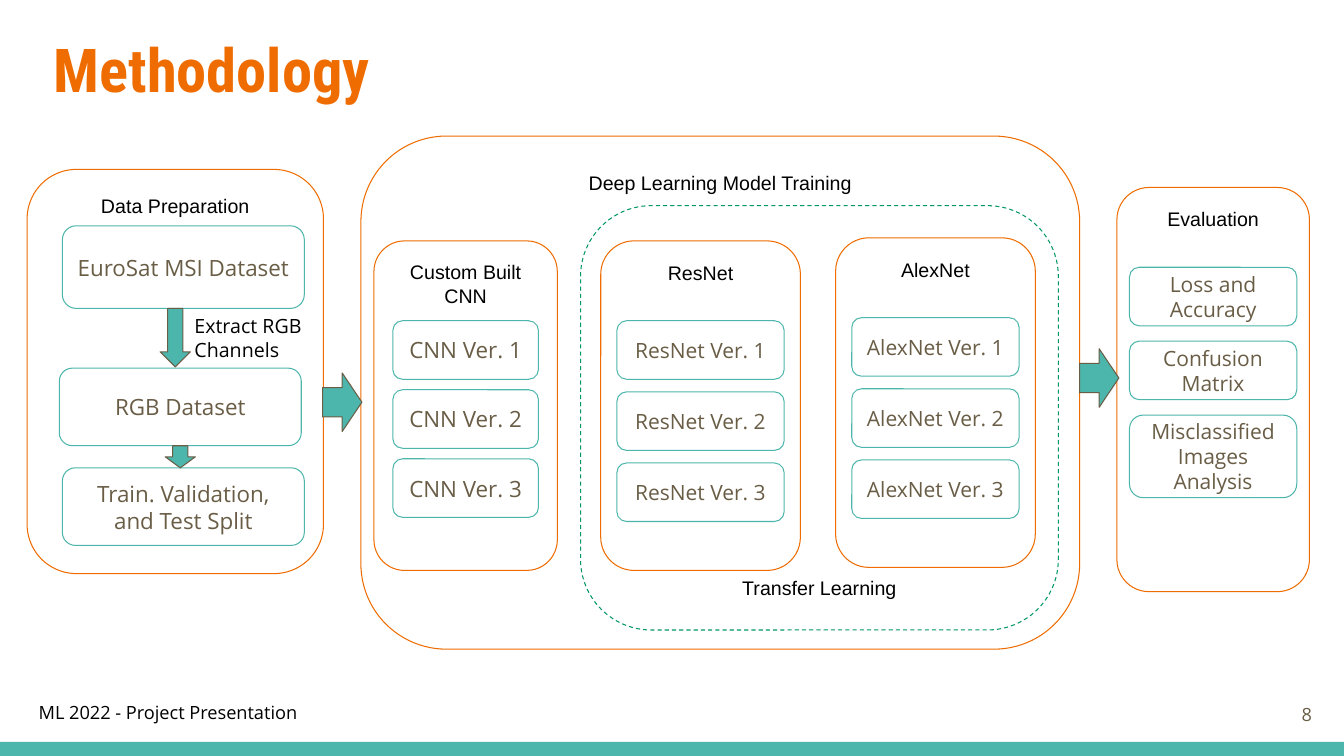
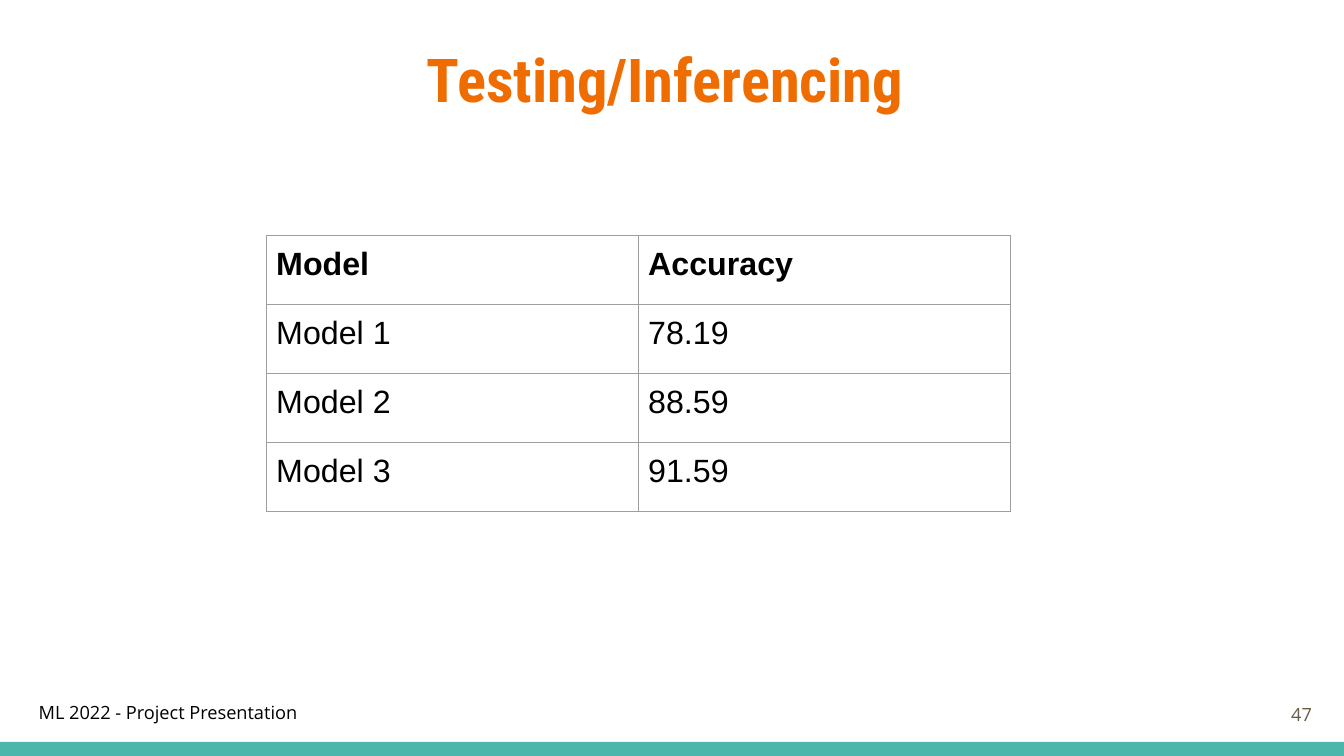
from collections import namedtuple

from lxml.etree import SubElement
from pptx import Presentation
from pptx.dml.color import RGBColor
from pptx.enum.dml import MSO_LINE
from pptx.enum.shapes import MSO_SHAPE
from pptx.enum.text import MSO_ANCHOR, PP_ALIGN
from pptx.oxml.ns import qn
from pptx.util import Pt

ORANGE = RGBColor(0xEF, 0x6C, 0x00)
TEAL = RGBColor(0x4D, 0xB6, 0xAC)
GREEN = RGBColor(0x00, 0x96, 0x68)
BROWN = RGBColor(0x69, 0x5D, 0x46)
GREY = RGBColor(0x9E, 0x9E, 0x9E)
BLACK = RGBColor(0x00, 0x00, 0x00)

HEADING_FONT = "Roboto Condensed"
BODY_FONT = "Open Sans"
LABEL_FONT = "Arial"

SLIDE_WIDTH, SLIDE_HEIGHT = 960, 540
BAND_HEIGHT = 10
LINE_WIDTH = 0.75
INSET, WIDE_INSET = 7.2, 9.6
STEP_HEIGHT = 41.8
STEPS_TOP = 57

Box = namedtuple("Box", "left top width height")


def inside(parent, left, top, width, height):
    """Return a box whose offsets are measured from the corner of parent."""
    return Box(parent.left + left, parent.top + top, width, height)


def in_points(box):
    return [Pt(length) for length in box]


def write(frame, text, size, font, color, bold=False,
          align=PP_ALIGN.LEFT, anchor=MSO_ANCHOR.TOP, inset=INSET):
    frame.word_wrap = True
    frame.vertical_anchor = anchor
    frame.margin_left = frame.margin_right = Pt(inset)
    frame.margin_top = frame.margin_bottom = Pt(inset)
    paragraph = frame.paragraphs[0]
    paragraph.alignment = align
    run = paragraph.add_run()
    run.text = text
    run.font.size = Pt(size)
    run.font.name = font
    run.font.bold = bold
    run.font.color.rgb = color


def add_text(slide, box, *text, **style):
    text_box = slide.shapes.add_textbox(*in_points(box))
    write(text_box.text_frame, *text, **style)


def add_shape(slide, kind, box, fill=None, line=None):
    shape = slide.shapes.add_shape(kind, *in_points(box))
    shape.shadow.inherit = False
    if fill is None:
        shape.fill.background()
    else:
        shape.fill.solid()
        shape.fill.fore_color.rgb = fill
    if line is None:
        shape.line.fill.background()
    else:
        shape.line.color.rgb = line
        shape.line.width = Pt(LINE_WIDTH)
    return shape


def add_panel(slide, box, heading, line=ORANGE, anchor=MSO_ANCHOR.TOP):
    panel = add_shape(slide, MSO_SHAPE.ROUNDED_RECTANGLE, box, line=line)
    write(panel.text_frame, heading, 14, LABEL_FONT, BLACK,
          align=PP_ALIGN.CENTER, anchor=anchor)
    return panel


def add_step(slide, box, label, size):
    step = add_shape(slide, MSO_SHAPE.ROUNDED_RECTANGLE, box, line=TEAL)
    write(step.text_frame, label, size, BODY_FONT, BROWN,
          align=PP_ALIGN.CENTER, anchor=MSO_ANCHOR.MIDDLE)


def add_arrow(slide, kind, box):
    add_shape(slide, kind, box, fill=TEAL, line=BROWN)


def add_stack_panel(slide, box, heading, steps, width, gap, size):
    """Draw a panel with centred steps, given as (label, height), one below another."""
    add_panel(slide, box, heading)
    top = STEPS_TOP
    for label, height in steps:
        step_box = inside(box, (box.width - width) / 2, top, width, height)
        add_step(slide, step_box, label, size)
        top += height + gap


def add_data_preparation(slide, box):
    add_panel(slide, box, "Data Preparation")
    for label, left, top, height in (
        ("EuroSat MSI Dataset", 25.2, 40.3, 59),
        ("RGB Dataset", 23, 142, 55.4),
        ("Train. Validation, and Test Split", 25.2, 213.2, 55.4),
    ):
        add_step(slide, inside(box, left, top, 172.8, height), label, 16)
    for left, top, height in ((95, 99.3, 41.8), (98.6, 197.4, 15.8)):
        add_arrow(slide, MSO_SHAPE.DOWN_ARROW, inside(box, left, top, 21.6, height))
    add_text(slide, inside(box, 112.4, 96.4, 110.2, 48.2),
             "Extract RGB Channels", 14, BODY_FONT, BLACK)


def add_model_training(slide, box):
    add_panel(slide, box, "Deep Learning Model Training")
    for heading, model, left, top, width, step_width, gap, size in (
        ("Custom Built CNN", "CNN", 9.3, 74.9, 131, 104, 7.5, 16),
        ("ResNet", "ResNet", 171.3, 74.9, 142.6, 119.5, 9, 15),
        ("AlexNet", "AlexNet", 339.1, 72.7, 142.6, 119.5, 9, 15),
    ):
        steps = [(f"{model} Ver. {version}", STEP_HEIGHT) for version in (1, 2, 3)]
        add_stack_panel(slide, inside(box, left, top, width, 235.4),
                        heading, steps, step_width, gap, size)
    transfer = add_panel(slide, inside(box, 156.9, 49.7, 341.3, 303.1),
                         "Transfer Learning", line=GREEN, anchor=MSO_ANCHOR.BOTTOM)
    transfer.line.dash_style = MSO_LINE.DASH


def add_evaluation(slide, box):
    steps = [("Loss and Accuracy", STEP_HEIGHT),
             ("Confusion Matrix", STEP_HEIGHT),
             ("Misclassified Images Analysis", 59)]
    add_stack_panel(slide, box, "Evaluation", steps, 119.5, 11, 15)


def set_borders(cell):
    properties = cell._tc.get_or_add_tcPr()
    for position, side in enumerate(("a:lnL", "a:lnR", "a:lnT", "a:lnB")):
        line = SubElement(properties, qn(side), w=str(Pt(LINE_WIDTH)))
        fill = SubElement(line, qn("a:solidFill"))
        SubElement(fill, qn("a:srgbClr"), val=str(GREY))
        properties.insert(position, line)


def add_accuracy_table(slide, box):
    rows = [("Model", "Accuracy"), ("Model 1", "78.19"),
            ("Model 2", "88.59"), ("Model 3", "91.59")]
    table = slide.shapes.add_table(len(rows), 2, *in_points(box)).table
    table.first_row = table.horz_banding = False
    for row_index, row in enumerate(rows):
        for column_index, text in enumerate(row):
            cell = table.cell(row_index, column_index)
            cell.fill.background()
            set_borders(cell)
            write(cell.text_frame, text, 23, LABEL_FONT, BLACK, bold=row_index == 0)
            cell.margin_left = cell.margin_right = Pt(INSET)
            cell.margin_top = cell.margin_bottom = Pt(INSET)


def add_base_slide(presentation, title, title_box, number, align=PP_ALIGN.LEFT):
    """Add a slide with the shared title style, footer, band and page number."""
    slide = presentation.slides.add_slide(presentation.slide_layouts[6])
    add_text(slide, Box(18, 493.2, 207.4, 35.3), "ML 2022 - Project Presentation",
             13, BODY_FONT, BLACK, inset=WIDE_INSET)
    add_shape(slide, MSO_SHAPE.RECTANGLE,
              Box(0, SLIDE_HEIGHT - BAND_HEIGHT, SLIDE_WIDTH, BAND_HEIGHT), fill=TEAL)
    add_text(slide, title_box, title, 43.2, HEADING_FONT, ORANGE,
             bold=True, align=align, inset=WIDE_INSET)
    add_text(slide, Box(892, 489.6, 54.7, 41), str(number), 13, BODY_FONT, BROWN,
             align=PP_ALIGN.RIGHT, anchor=MSO_ANCHOR.MIDDLE, inset=WIDE_INSET)
    return slide


def add_methodology_slide(presentation):
    slide = add_base_slide(presentation, "Methodology", Box(28.8, 13, 894.2, 74.2), 8)
    add_data_preparation(slide, Box(19.4, 121, 211.7, 288.7))
    add_model_training(slide, Box(257.8, 97.2, 513.4, 366.5))
    add_evaluation(slide, Box(797.8, 133.9, 137.5, 288.7))
    for left, top in ((230.4, 266.4), (771.1, 249.1)):
        add_arrow(slide, MSO_SHAPE.RIGHT_ARROW, Box(left, top, 28.1, 41.8))


def add_testing_slide(presentation):
    slide = add_base_slide(presentation, "Testing/Inferencing",
                           Box(28, 20.2, 894.2, 61.2), 47, align=PP_ALIGN.CENTER)
    add_accuracy_table(slide, Box(190.1, 168.5, 531.4, 197.2))


def main():
    presentation = Presentation()
    presentation.slide_width = Pt(SLIDE_WIDTH)
    presentation.slide_height = Pt(SLIDE_HEIGHT)
    add_methodology_slide(presentation)
    add_testing_slide(presentation)
    presentation.save("out.pptx")


if __name__ == "__main__":
    main()
